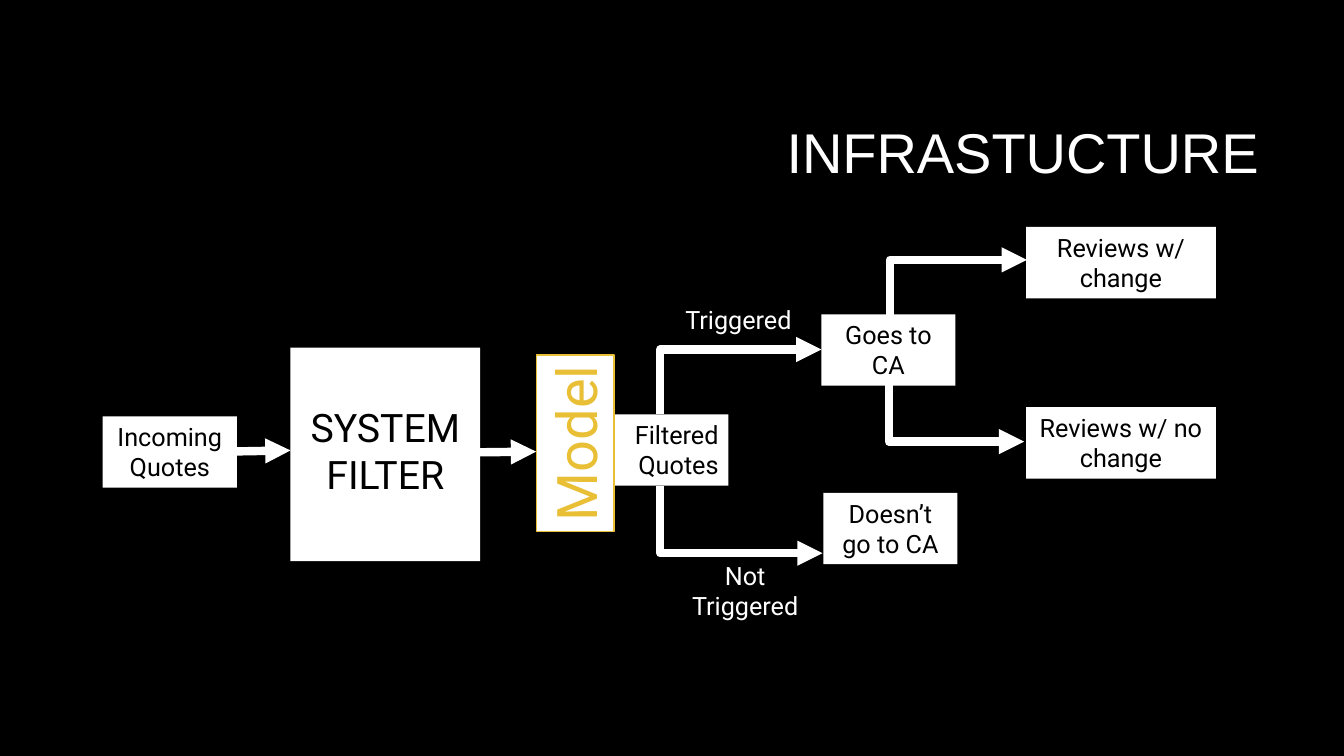
from dataclasses import dataclass

from lxml.etree import SubElement
from pptx import Presentation
from pptx.dml.color import RGBColor
from pptx.enum.shapes import MSO_CONNECTOR, MSO_SHAPE
from pptx.enum.text import MSO_ANCHOR, MSO_AUTO_SIZE, PP_ALIGN
from pptx.oxml.ns import qn
from pptx.shapes.connector import Connector
from pptx.slide import Slide
from pptx.text.text import TextFrame
from pptx.util import Cm, Pt

BLACK, WHITE, GOLD = "000000", "FFFFFF", "E9BF35"


@dataclass
class Box:
    text: str
    left: float
    top: float
    width: float = 3.38
    height: float = 1.8
    size: int = 18
    color: str = BLACK
    fill: str | None = WHITE
    outline: str | None = None
    align: PP_ALIGN = PP_ALIGN.CENTER
    anchor: MSO_ANCHOR = MSO_ANCHOR.TOP
    bottom_inset: float = 0.13
    rotation: int = 0


@dataclass
class Arrow:
    start: tuple[float, float]
    end: tuple[float, float]
    bent: bool = False


ARROWS = [
    Arrow((5.66, 11.38), (7.32, 11.35)),
    Arrow((11.84, 11.4), (13.51, 11.38)),
    Arrow((16.64, 10.44), (20.7, 8.81), bent=True),
    Arrow((16.64, 12.24), (20.73, 13.94), bent=True),
    Arrow((22.43, 8.2), (25.88, 6.55), bent=True),
    Arrow((22.4, 9.63), (25.81, 11.13), bent=True),
]

BOXES = [
    Box("Triggered", 16.92, 7.54, height=1.02, color=WHITE, fill=None),
    Box("Not\nTriggered", 17.09, 14, color=WHITE, fill=None),
    Box("Incoming Quotes", 2.59, 10.49),
    Box("SYSTEM FILTER", 7.32, 8.76, 4.78, 5.38, size=28,
        anchor=MSO_ANCHOR.MIDDLE, bottom_inset=0.35),
    Box("Doesn’t go to CA", 20.75, 12.42),
    Box("Goes to CA", 20.7, 7.92),
    Box("Filtered\nQuotes", 14.91, 10.44, 3.45, align=PP_ALIGN.RIGHT),
    Box("Reviews w/ change", 25.86, 5.72, 4.78),
    Box("Reviews w/ no change", 25.86, 10.26, 4.78),
    Box("Model", 12.27, 10.19, 4.45, 1.96, size=40, color=GOLD,
        outline=GOLD, rotation=270),
]


def rgb(color: str) -> RGBColor:
    return RGBColor.from_string(color)


def write_text(frame: TextFrame, text: str, *, size: int, color: str, font: str,
               align: PP_ALIGN, anchor: MSO_ANCHOR,
               line_spacing: float | None = None) -> None:
    frame.word_wrap = True
    frame.vertical_anchor = anchor
    frame.text = text
    for paragraph in frame.paragraphs:
        paragraph.alignment = align
        paragraph.line_spacing = line_spacing
        run_font = paragraph.runs[0].font
        run_font.name = font
        run_font.size = Pt(size)
        run_font.color.rgb = rgb(color)


def draw_title(slide: Slide) -> None:
    title = slide.shapes.title
    title.left, title.top = Cm(8.05), Cm(2.13)
    title.width, title.height = Cm(23.93), Cm(3.58)
    write_text(title.text_frame, "INFRASTUCTURE", size=40, color=WHITE, font="Arial",
               align=PP_ALIGN.RIGHT, anchor=MSO_ANCHOR.MIDDLE, line_spacing=0.9)
    title.text_frame.auto_size = MSO_AUTO_SIZE.NONE


def draw_box(slide: Slide, box: Box) -> None:
    frame_lengths = [Cm(value) for value in (box.left, box.top, box.width, box.height)]
    if box.fill is None:
        shape = slide.shapes.add_textbox(*frame_lengths)
    else:
        shape = slide.shapes.add_shape(MSO_SHAPE.RECTANGLE, *frame_lengths)
        shape.shadow.inherit = False
        shape.fill.solid()
        shape.fill.fore_color.rgb = rgb(box.fill)
        if box.outline is None:
            shape.line.fill.background()
        else:
            shape.line.color.rgb = rgb(box.outline)
            shape.line.width = Pt(1)
    shape.rotation = box.rotation
    write_text(shape.text_frame, box.text, size=box.size, color=box.color,
               font="Roboto", align=box.align, anchor=box.anchor)
    shape.text_frame.margin_bottom = Cm(box.bottom_inset)
    shape.text_frame.auto_size = MSO_AUTO_SIZE.SHAPE_TO_FIT_TEXT


def add_bent_connector(slide: Slide, arrow: Arrow) -> Connector:
    """Add an elbow that runs vertically first, then to the right."""
    (start_x, start_y), (end_x, end_y) = arrow.start, arrow.end
    middle_x, middle_y = (start_x + end_x) / 2, (start_y + end_y) / 2
    half_width, half_height = abs(end_y - start_y) / 2, abs(end_x - start_x) / 2
    connector = slide.shapes.add_connector(
        MSO_CONNECTOR.ELBOW,
        Cm(middle_x - half_width), Cm(middle_y - half_height),
        Cm(middle_x + half_width), Cm(middle_y + half_height))
    properties = connector.element.spPr
    properties.find(qn("a:prstGeom")).set("prst", "bentConnector2")
    transform = properties.find(qn("a:xfrm"))
    goes_up = end_y < start_y
    transform.set("rot", str((90 if goes_up else 270) * 60000))
    transform.set("flipH", "1")
    if goes_up:
        transform.set("flipV", "1")
    return connector


def draw_arrow(slide: Slide, arrow: Arrow) -> None:
    if arrow.bent:
        connector = add_bent_connector(slide, arrow)
    else:
        connector = slide.shapes.add_connector(
            MSO_CONNECTOR.STRAIGHT,
            *(Cm(value) for value in (*arrow.start, *arrow.end)))
    connector.line.color.rgb = rgb(WHITE)
    connector.line.width = Pt(6)
    properties = connector.element.spPr
    SubElement(properties.find(qn("a:ln")), qn("a:tailEnd"), type="triangle")
    SubElement(properties, qn("a:effectLst"))


def main() -> None:
    presentation = Presentation()
    presentation.slide_width, presentation.slide_height = Cm(33.87), Cm(19.05)
    slide = presentation.slides.add_slide(presentation.slide_layouts[5])
    slide.background.fill.solid()
    slide.background.fill.fore_color.rgb = rgb(BLACK)
    draw_title(slide)
    for arrow in ARROWS:
        draw_arrow(slide, arrow)
    for box in BOXES:
        draw_box(slide, box)
    presentation.save("out.pptx")


if __name__ == "__main__":
    main()
